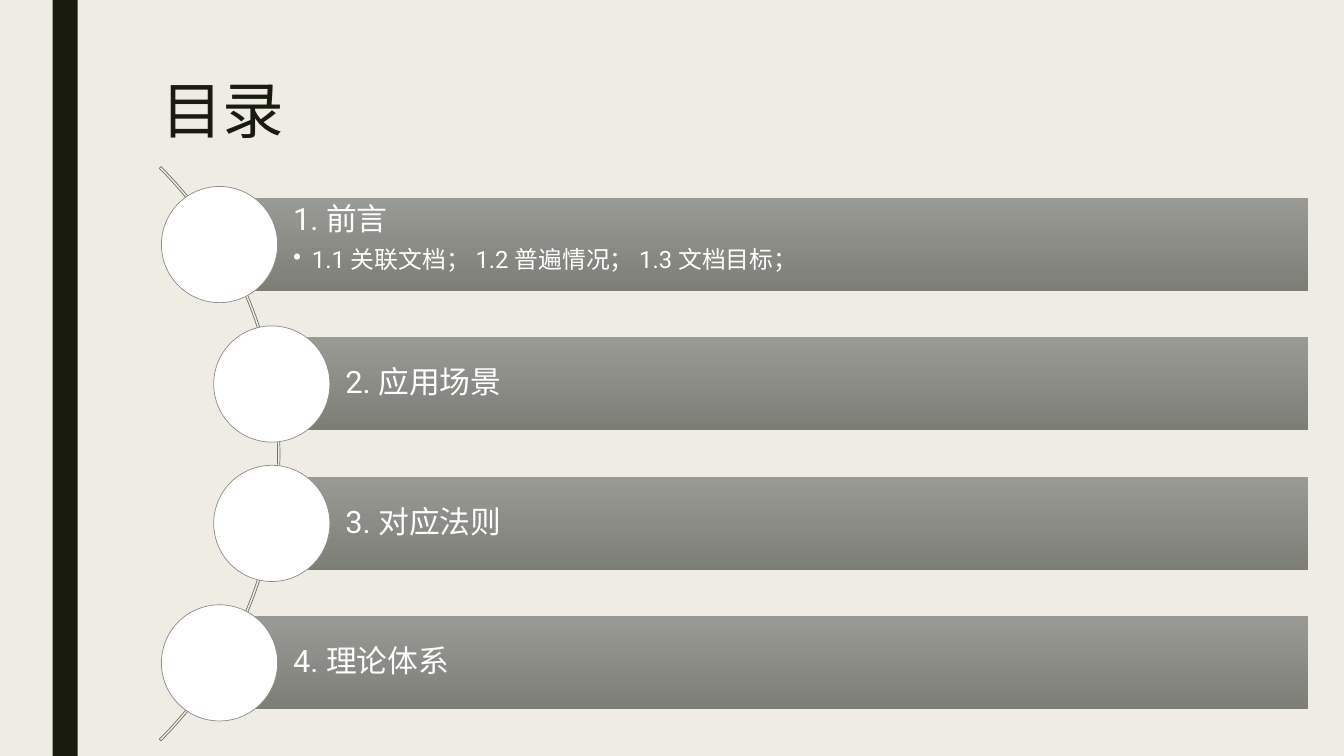
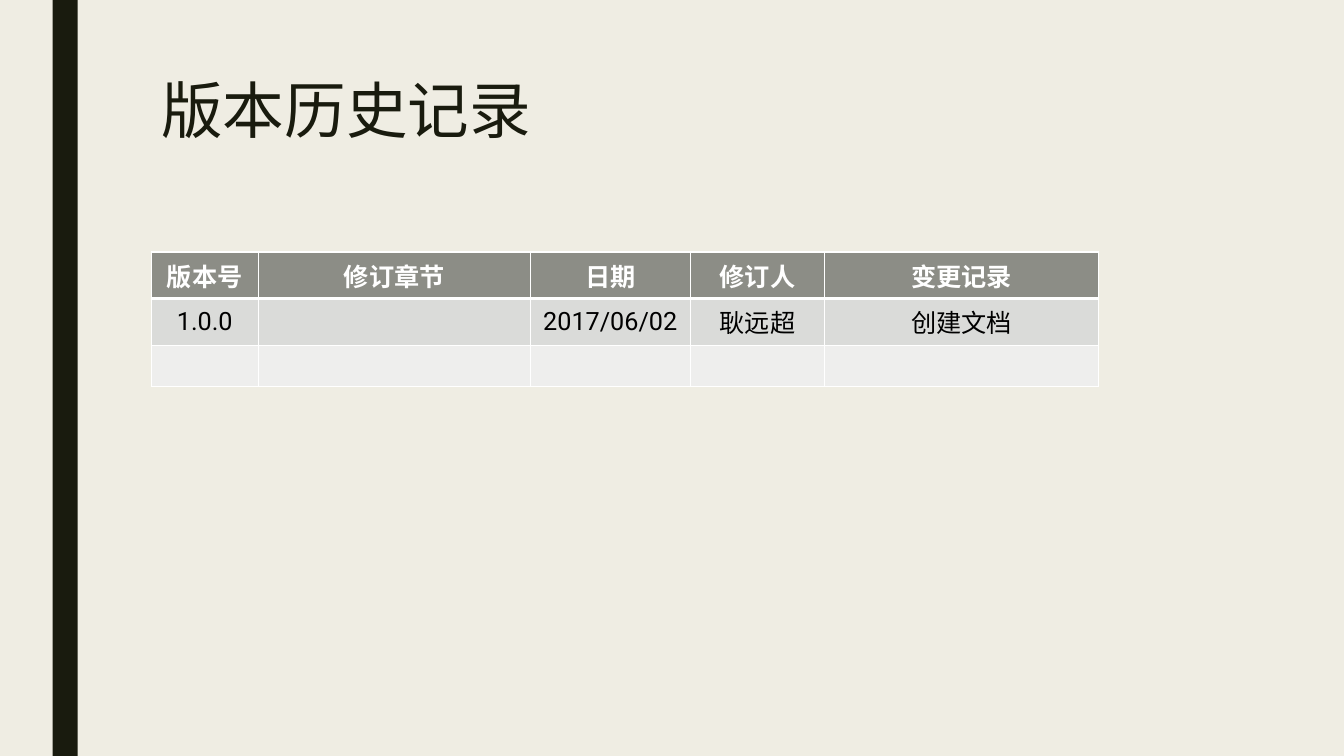
from math import sqrt
from lxml.etree import SubElement
from pptx import Presentation
from pptx.dml.color import RGBColor
from pptx.enum.shapes import MSO_SHAPE
from pptx.enum.text import MSO_ANCHOR, MSO_AUTO_SIZE, PP_ALIGN
from pptx.oxml import parse_xml
from pptx.oxml.ns import nsdecls, qn
from pptx.util import Pt

FONT = "Roboto"
PAPER, INK, WHITE, BLACK = "EFEDE3", "191B0E", "FFFFFF", "000000"
GRAY, LIGHT, DARK, EDGE = "8C8D86", "999A94", "7D7E76", "70716B"
ROWS = (GRAY, "DADBD9", "EEEEED")
WIDE, HIGH = 960, 540

TOPICS = [
    ("1. 前言", "1.1 关联文档； 1.2 普遍情况； 1.3 文档目标；"),
    ("2. 应用场景", None),
    ("3. 对应法则", None),
    ("4. 理论体系", None),
]
LOG = [
    ("版本号", "修订章节", "日期", "修订人", "变更记录"),
    ("1.0.0", "", "2017/06/02", "耿远超", "创建文档"),
    ("", "", "", "", ""),
]
COLS = (76.5, 194.3, 114.3, 96, 195.7)


def color(code):
    return RGBColor.from_string(code)


def apply(item, **values):
    for name, value in values.items():
        setattr(item, name, value)


def write(para, text, size, tint, bold=False, **style):
    """Fill one paragraph with a run of text."""
    run = para.add_run()
    run.text = text
    apply(run.font, name=FONT, size=Pt(size), bold=bold)
    run.font.color.rgb = color(tint)
    apply(para, **style)


def draw(slide, kind, box, fill=None, line=None):
    """Add a preset shape with a plain fill and a thin line."""
    shape = slide.shapes.add_shape(kind, *map(Pt, box))
    shape.shadow.inherit = False
    if fill:
        shape.fill.solid()
        shape.fill.fore_color.rgb = color(fill)
    else:
        shape.fill.background()
    if line:
        shape.line.color.rgb = color(line)
        shape.line.width = Pt(0.5)
    else:
        shape.line.fill.background()
    return shape


def start(deck, text):
    """Add a slide with the side band and its title."""
    slide = deck.slides.add_slide(deck.slide_layouts[5])
    draw(slide, MSO_SHAPE.RECTANGLE, (37.5, 0, 18, HIGH), INK)
    title = slide.shapes.title
    apply(title, left=Pt(108), top=Pt(54), width=Pt(756), height=Pt(116.6))
    apply(title.text_frame, vertical_anchor=MSO_ANCHOR.TOP, word_wrap=True,
          auto_size=MSO_AUTO_SIZE.NONE)
    write(title.text_frame.paragraphs[0], text, 44, INK,
          alignment=PP_ALIGN.LEFT, line_spacing=0.89)
    return slide


def topic(slide, box, head, sub):
    """Add a shaded bar with a heading and an optional bullet."""
    bar = draw(slide, MSO_SHAPE.RECTANGLE, box)
    bar.fill.gradient()
    bar.fill.gradient_angle = 270
    for stop, tint in zip(bar.fill.gradient_stops, (LIGHT, DARK)):
        stop.color.rgb = color(tint)
    frame = bar.text_frame
    apply(frame, word_wrap=True, margin_left=Pt(52.5), margin_right=Pt(4.3),
          margin_top=Pt(4.3), margin_bottom=Pt(4.3),
          vertical_anchor=MSO_ANCHOR.TOP if sub else MSO_ANCHOR.MIDDLE)
    style = dict(alignment=PP_ALIGN.LEFT, line_spacing=0.9)
    write(frame.paragraphs[0], head, 22, WHITE, space_after=Pt(7.7), **style)
    if sub:
        para = frame.add_paragraph()
        write(para, sub, 17, WHITE, space_after=Pt(2.5), **style)
        props = para._p.get_or_add_pPr()
        props.set("marL", str(Pt(13.5)))
        props.set("indent", str(-Pt(13.5)))
        SubElement(props, qn("a:buChar")).set("char", "•")


def agenda(slide, box, topics):
    """Hang the topics on an arc that bulges from the left of the box."""
    left, top, width, height = box
    radius, thick, dot, bar = 290, 1.74, 83, 66.4
    hub, mid = left - 205, top + height / 2
    arc = draw(slide, MSO_SHAPE.BLOCK_ARC,
               (hub - radius, mid - radius, 2 * radius, 2 * radius), line=EDGE)
    for spot, value in enumerate((189, 27, thick / (2 * radius))):
        arc.adjustments[spot] = value
    step = (height - dot) / (len(topics) - 1)
    for row, (head, sub) in enumerate(topics):
        y = top + dot / 2 + row * step
        x = hub + sqrt((radius - 1.5) ** 2 - (y - mid) ** 2)
        topic(slide, (x, y - bar / 2, left + width - x, bar), head, sub)
        draw(slide, MSO_SHAPE.OVAL, (x - dot / 2, y - dot / 2, dot, dot),
             WHITE, GRAY)


def border(cell, sides):
    """Draw white cell borders, given as side and width."""
    props = cell._tc.get_or_add_tcPr()
    for spot, (side, width) in enumerate(sides):
        props.insert(spot, parse_xml(
            f'<a:ln{side} {nsdecls("a")} w="{Pt(width)}"><a:solidFill>'
            f'<a:srgbClr val="{WHITE}"/></a:solidFill></a:ln{side}>'))


def history(slide, box, log):
    """Add the table of revisions."""
    table = slide.shapes.add_table(len(log), len(COLS),
                                   *map(Pt, box)).table
    for col, width in zip(table.columns, COLS):
        col.width = Pt(width)
    for r, line in enumerate(log):
        for c, text in enumerate(line):
            cell = table.cell(r, c)
            cell.vertical_anchor = MSO_ANCHOR.MIDDLE
            cell.fill.solid()
            cell.fill.fore_color.rgb = color(ROWS[r])
            border(cell, (("L", 1), ("R", 1), ("T", 3 if r == 1 else 1),
                          ("B", 3 if r == 0 else 1)))
            if text:
                write(cell.text_frame.paragraphs[0], text, 18,
                      BLACK if r else WHITE, bold=r == 0,
                      alignment=PP_ALIGN.CENTER)


def main():
    deck = Presentation()
    apply(deck, slide_width=Pt(WIDE), slide_height=Pt(HIGH))
    paper = deck.slide_master.background.fill
    paper.solid()
    paper.fore_color.rgb = color(PAPER)
    agenda(start(deck, "目录"), (115, 133.2, 819.6, 381.8), TOPICS)
    history(start(deck, "版本历史记录"), (108, 180, sum(COLS), 87.8), LOG)
    deck.save("out.pptx")


if __name__ == "__main__":
    main()
